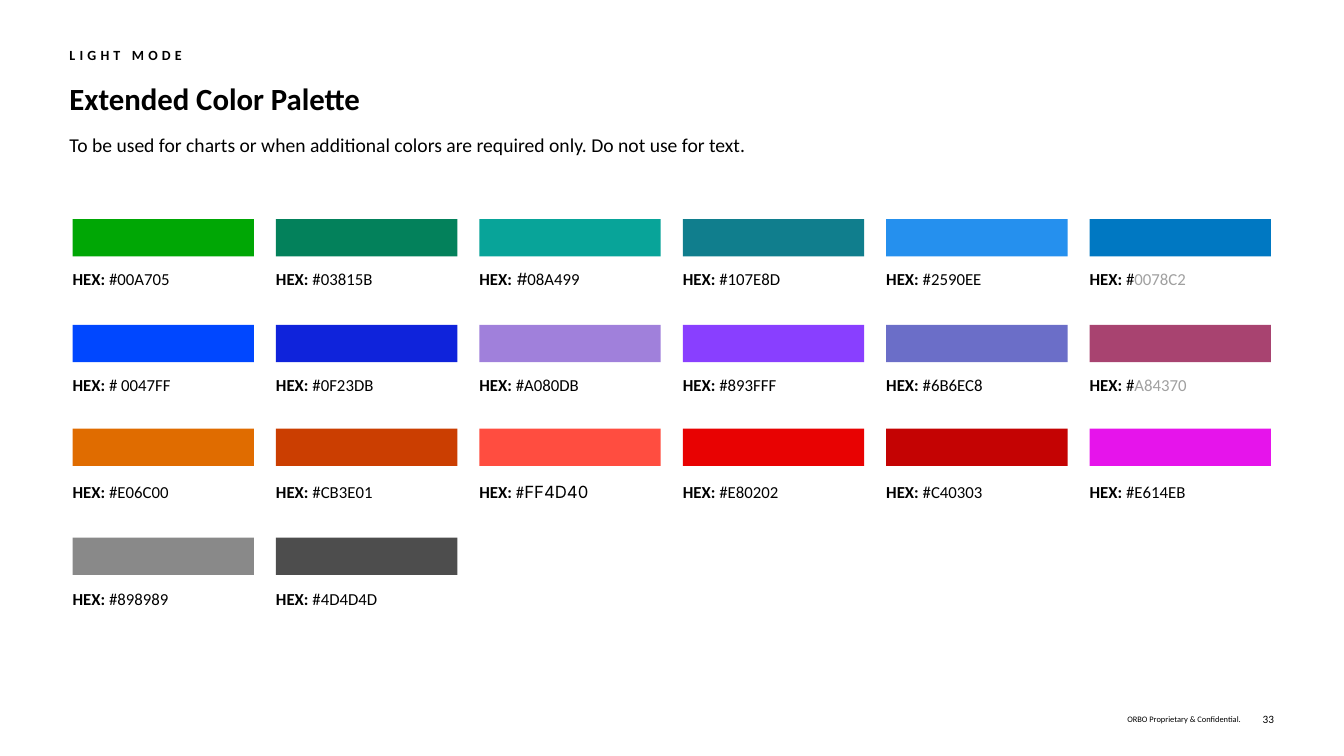
from pptx import Presentation
from pptx.dml.color import RGBColor
from pptx.enum.shapes import MSO_SHAPE
from pptx.enum.text import MSO_ANCHOR, MSO_AUTO_SIZE, PP_ALIGN
from pptx.util import Cm, Pt

RECTANGLE = MSO_SHAPE.RECTANGLE
TOP, MIDDLE = MSO_ANCHOR.TOP, MSO_ANCHOR.MIDDLE
LEFT, RIGHT = PP_ALIGN.LEFT, PP_ALIGN.RIGHT
NO_AUTOFIT = MSO_AUTO_SIZE.NONE

BLACK = RGBColor(0x00, 0x00, 0x00)
FOOTER_BLACK = RGBColor(0x01, 0x00, 0x00)
GREY = RGBColor(0xA0, 0xA0, 0xA0)
FONT, ALTERNATE_FONT = "Calibri", "Inter"

# Content
TITLE = "Extended Color Palette"
EYEBROW = "LIGHT MODE"
INTRO = ("To be used for charts or when additional colors are required only. "
         "Do not use for text.")
PALETTE = [
    ["00A705", "03815B", "08A499", "107E8D", "2590EE", "0078C2"],
    ["0047FF", "0F23DB", "A080DB", "893FFF", "6B6EC8", "A84370"],
    ["E06C00", "CB3E01", "FF4D40", "E80202", "C40303", "E614EB"],
    ["898989", "4D4D4D"],
]
SPACED_CODES = {"0047FF"}
GREY_CODES = {"0078C2", "A84370"}
ALTERNATE_HASHES = {"08A499"}
ALTERNATE_CODES = {"FF4D40"}
# text, left, top, width, height, size (cm and points)
FOOTERS = [
    ("ORBO Proprietary & Confidential.", 26.49, 17.81, 4.78, 0.61, 6),
    ("33", 31.42, 17.81, 0.69, 0.61, 8),
]

# Grid, in cm
GRID_LEFT, LAST_LEFT = 1.83, 27.46
COLUMN_STEP = (LAST_LEFT - GRID_LEFT) / 5
SWATCH_TOPS = [5.52, 8.19, 10.8, 13.55]
SWATCH_WIDTH, SWATCH_HEIGHT = 4.57, 0.94
LABEL_TOP, LABEL_STEP = 6.71, 2.69
LABEL_WIDTH, LABEL_HEIGHT = 3.05, 0.51


def prepare_frame(shape, anchor=TOP):
    frame = shape.text_frame
    frame.margin_left = frame.margin_right = 0
    frame.margin_top = frame.margin_bottom = 0
    frame.word_wrap = True
    frame.auto_size = NO_AUTOFIT
    frame.vertical_anchor = anchor
    return frame


def format_run(run, size, bold=False, color=BLACK, name=FONT):
    run.font.size = Pt(size)
    run.font.bold = bold
    run.font.color.rgb = color
    run.font.name = name


def set_text(shape, text, size, bold=False, color=BLACK, align=LEFT, anchor=TOP):
    frame = prepare_frame(shape, anchor)
    frame.text = text
    paragraph = frame.paragraphs[0]
    paragraph.alignment = align
    paragraph.space_before = Pt(0)
    format_run(paragraph.runs[0], size, bold, color)
    return paragraph.runs[0]


def place(shape, left, top, width, height):
    shape.left, shape.top = Cm(left), Cm(top)
    shape.width, shape.height = Cm(width), Cm(height)


def add_swatch(slide, code, left, top):
    swatch = slide.shapes.add_shape(RECTANGLE, Cm(left), Cm(top),
                                    Cm(SWATCH_WIDTH), Cm(SWATCH_HEIGHT))
    swatch.shadow.inherit = False
    swatch.fill.solid()
    swatch.fill.fore_color.rgb = RGBColor.from_string(code)
    swatch.line.fill.background()


def add_label(slide, code, left, top):
    box = slide.shapes.add_textbox(Cm(left), Cm(top), Cm(LABEL_WIDTH), Cm(LABEL_HEIGHT))
    paragraph = prepare_frame(box).paragraphs[0]
    paragraph.line_spacing = 1.1
    hash_text = " # " if code in SPACED_CODES else " #"
    hash_font = ALTERNATE_FONT if code in ALTERNATE_HASHES else FONT
    code_font = ALTERNATE_FONT if code in ALTERNATE_CODES else FONT
    code_color = GREY if code in GREY_CODES else BLACK
    for text, bold, color, name in [("HEX:", True, BLACK, FONT),
                                    (hash_text, False, BLACK, hash_font),
                                    (code, False, code_color, code_font)]:
        run = paragraph.add_run()
        run.text = text
        format_run(run, 12, bold, color, name)


def main():
    presentation = Presentation()
    presentation.slide_width, presentation.slide_height = Cm(33.87), Cm(19.05)
    slide = presentation.slides.add_slide(presentation.slide_layouts[4])

    # Headings; the comparison layout's two content areas are not needed
    title, eyebrow, extra_left, intro, extra_right = slide.placeholders
    for extra in (extra_left, extra_right):
        extra.element.getparent().remove(extra.element)
    place(title, 1.75, 2.01, 30.35, 0.94)
    set_text(title, TITLE, 22, bold=True)
    place(eyebrow, 1.75, 1.17, 10.08, 0.64)
    eyebrow_run = set_text(eyebrow, EYEBROW, 10, bold=True)
    eyebrow_run.font._element.set("spc", "300")
    place(intro, 1.75, 3.35, 30.35, 1.35)
    set_text(intro, INTRO, 14)

    # Color swatches with their codes
    for row, codes in enumerate(PALETTE):
        for column, code in enumerate(codes):
            left = GRID_LEFT + column * COLUMN_STEP
            add_swatch(slide, code, left, SWATCH_TOPS[row])
            add_label(slide, code, left, LABEL_TOP + row * LABEL_STEP)

    # Footer and page number
    for text, left, top, width, height, size in FOOTERS:
        box = slide.shapes.add_textbox(Cm(left), Cm(top), Cm(width), Cm(height))
        set_text(box, text, size, color=FOOTER_BLACK, align=RIGHT, anchor=MIDDLE)

    presentation.save("out.pptx")


if __name__ == "__main__":
    main()
